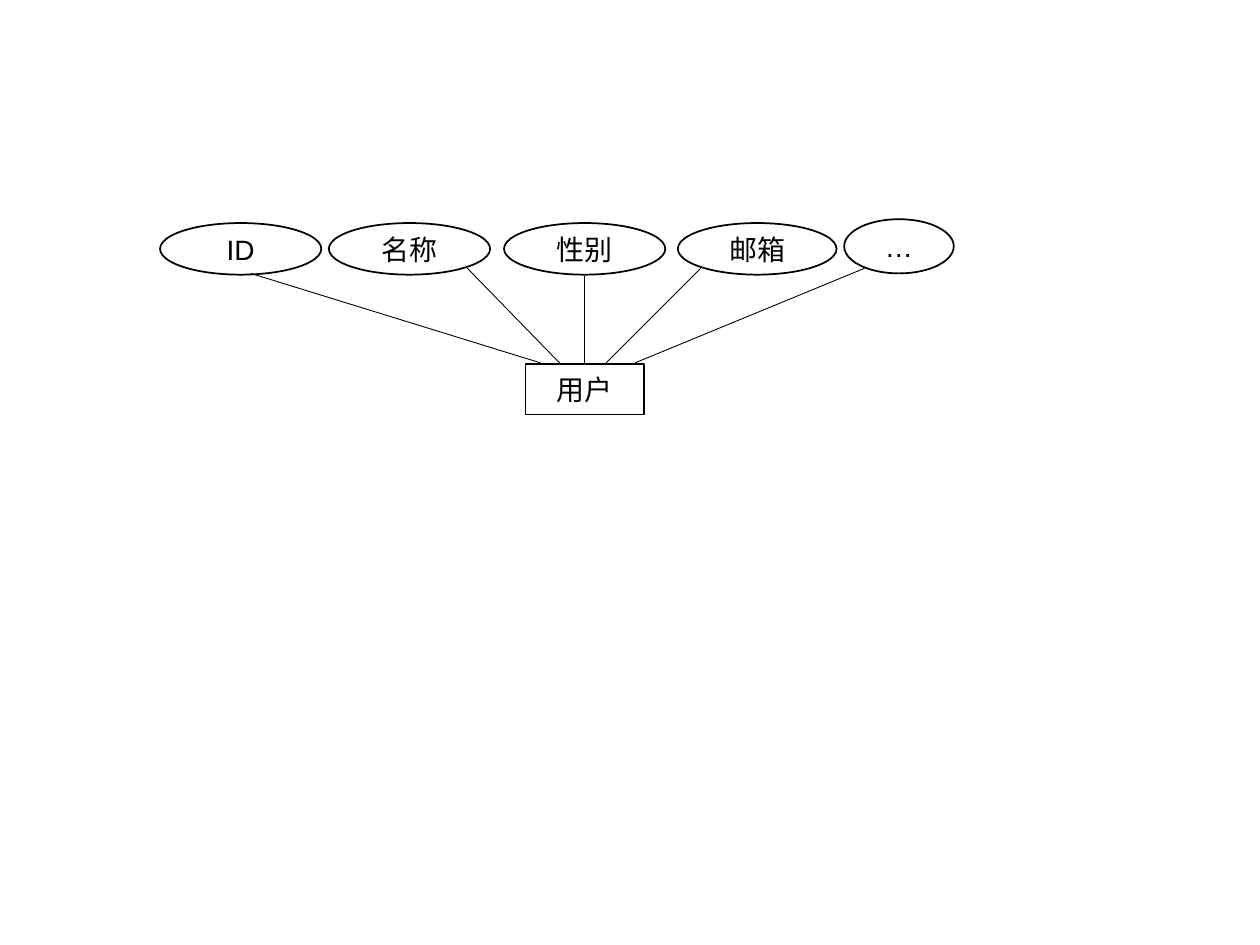
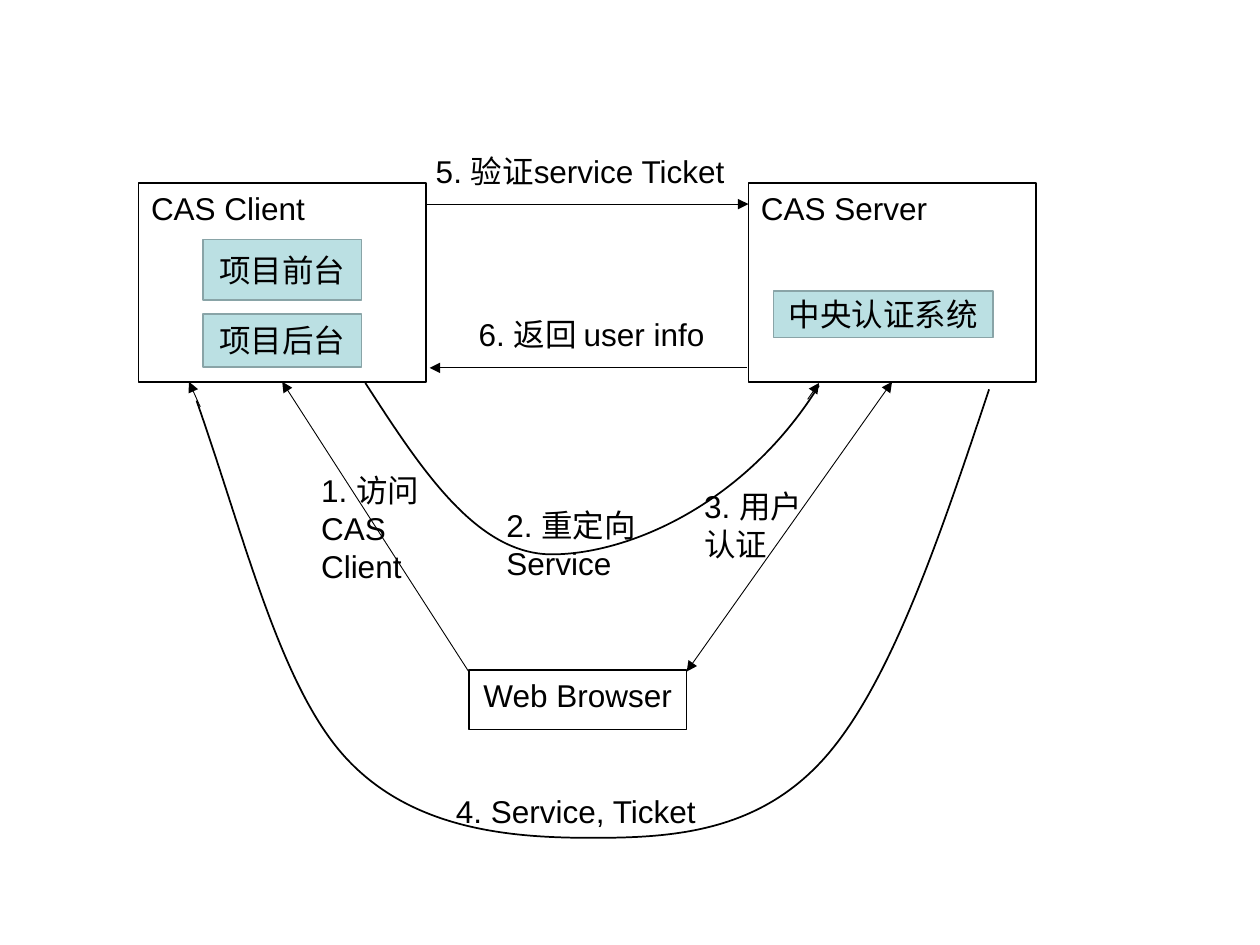
from lxml import etree
from pptx import Presentation
from pptx.dml.color import RGBColor
from pptx.enum import shapes, text
from pptx.oxml.ns import qn
from pptx.util import Pt

PX = 9144
BLACK, WHITE, TEAL, TEAL_EDGE = "000000", "FFFFFF", "BBE0E3", "89A4A7"
RECT, OVAL = shapes.MSO_SHAPE.RECTANGLE, shapes.MSO_SHAPE.OVAL
LEFT, CENTER = text.PP_ALIGN.LEFT, text.PP_ALIGN.CENTER
TOP, MIDDLE = text.MSO_ANCHOR.TOP, text.MSO_ANCHOR.MIDDLE
color = RGBColor.from_string


def add_text(slide, area, words, kind=None, fill=None, edge=BLACK,
             size=18, align=LEFT, anchor=TOP):
    area = [n * PX for n in area]
    if kind is None:
        item = slide.shapes.add_textbox(*area)
    else:
        item = slide.shapes.add_shape(kind, *area)
        item.shadow.inherit = False
        item.line.color.rgb = color(edge)
        item.line.width = Pt(1)
        if fill:
            item.fill.solid()
            item.fill.fore_color.rgb = color(fill)
        else:
            item.fill.background()
    frame = item.text_frame
    frame.word_wrap = True
    frame.vertical_anchor = anchor
    frame.text = words
    for paragraph in frame.paragraphs:
        paragraph.alignment = align
        paragraph.font.name = "Arial"
        paragraph.font.size = Pt(size)
        paragraph.font.color.rgb = color(BLACK)
    return item


def add_line(slide, ends, heads=()):
    line = slide.shapes.add_connector(
        shapes.MSO_CONNECTOR.STRAIGHT, *[n * PX for n in ends])
    line.line.color.rgb = color(BLACK)
    line.line.width = Pt(0.5)
    for head in heads:
        etree.SubElement(line.line._get_or_add_ln(), qn("a:" + head), type="triangle")
    etree.SubElement(line._element.spPr, qn("a:effectLst"))
    return line


deck = Presentation()
deck.slide_width, deck.slide_height = 1000 * PX, 750 * PX
blank = deck.slide_layouts[6]

entity = deck.slides.add_slide(blank)
user = add_text(entity, (417, 289, 94, 40), "用户", RECT,
                size=16, align=CENTER, anchor=MIDDLE)
attributes = [
    ("性别", (400, 177, 128, 41), (464, 219, 464, 289)),
    ("邮箱", (538, 177, 126, 41), (556, 213, 481, 288)),
    ("…", (670, 174, 87, 43), (686, 213, 504, 288)),
    ("名称", (261, 177, 128, 41), (370, 212, 445, 289)),
    ("ID", (127, 177, 128, 41), (199, 217, 429, 288)),
]
for name, area, ends in attributes:
    add_text(entity, area, name, OVAL, size=16, align=CENTER, anchor=MIDDLE)
    link = add_line(entity, ends)
    if name == "性别":
        link.end_connect(user, 0)

login = deck.slides.add_slide(blank)
client = add_text(login, (110, 145, 228, 158), "CAS Client", RECT, WHITE)
server = add_text(login, (594, 145, 228, 158), "CAS Server", RECT, WHITE)
for system, area in [
    ("项目前台", (161, 190, 126, 48)),
    ("项目后台", (161, 249, 126, 42)),
    ("中央认证系统", (614, 231, 174, 37)),
]:
    add_text(login, area, system, RECT, TEAL, TEAL_EDGE, align=CENTER, anchor=MIDDLE)
add_text(login, (372, 532, 173, 47), "Web Browser", RECT, WHITE, align=CENTER)

visit = add_line(login, (372, 533, 224, 303), ["tailEnd"])
visit.end_connect(client, 2)
sign_in = add_line(login, (545, 533, 708, 303), ["headEnd", "tailEnd"])
sign_in.end_connect(server, 2)
for ends in [
    (338, 162, 594, 162),
    (593, 292, 341, 292),
    (641, 317, 650, 304),
    (159, 323, 150, 303),
]:
    add_line(login, ends, ["tailEnd"])

redirect = [(290, 304), (334, 372), (378, 440), (438, 440),
            (498, 440), (591, 401), (650, 306)]
ticket = [(785, 309), (746, 426), (707, 542), (655, 601),
          (602, 661), (533, 665), (470, 665),
          (406, 665), (327, 659), (274, 601),
          (222, 544), (194, 426), (156, 318)]
for route in (redirect, ticket):
    builder = login.shapes.build_freeform(*route[0], scale=PX)
    builder.add_line_segments(route[1:], close=False)
    curve = builder.convert_to_shape()
    curve.shadow.inherit = False
    curve.fill.background()
    curve.line.color.rgb = color(BLACK)
    curve.line.width = Pt(1)
    segments = list(curve._element.iter(qn("a:lnTo")))
    outline = segments[0].getparent()
    for start in range(0, len(segments), 3):
        bend = etree.SubElement(outline, qn("a:cubicBezTo"))
        for segment in segments[start:start + 3]:
            bend.append(segment[0])
            outline.remove(segment)

for step_name, area, wraps in [
    ("3. 用户认证", (549, 382, 104, 70), True),
    ("5. 验证service Ticket", (336, 116, 262, 40), False),
    ("6. 返回 user info", (370, 245, 211, 40), False),
    ("1. 访问CAS Client", (245, 369, 104, 100), True),
    ("2. 重定向\nService", (392, 397, 129, 70), False),
    ("4. Service, Ticket", (352, 624, 211, 40), False),
]:
    caption = add_text(login, area, step_name)
    caption.text_frame.word_wrap = wraps
    caption.text_frame.auto_size = text.MSO_AUTO_SIZE.SHAPE_TO_FIT_TEXT

deck.save("out.pptx")
